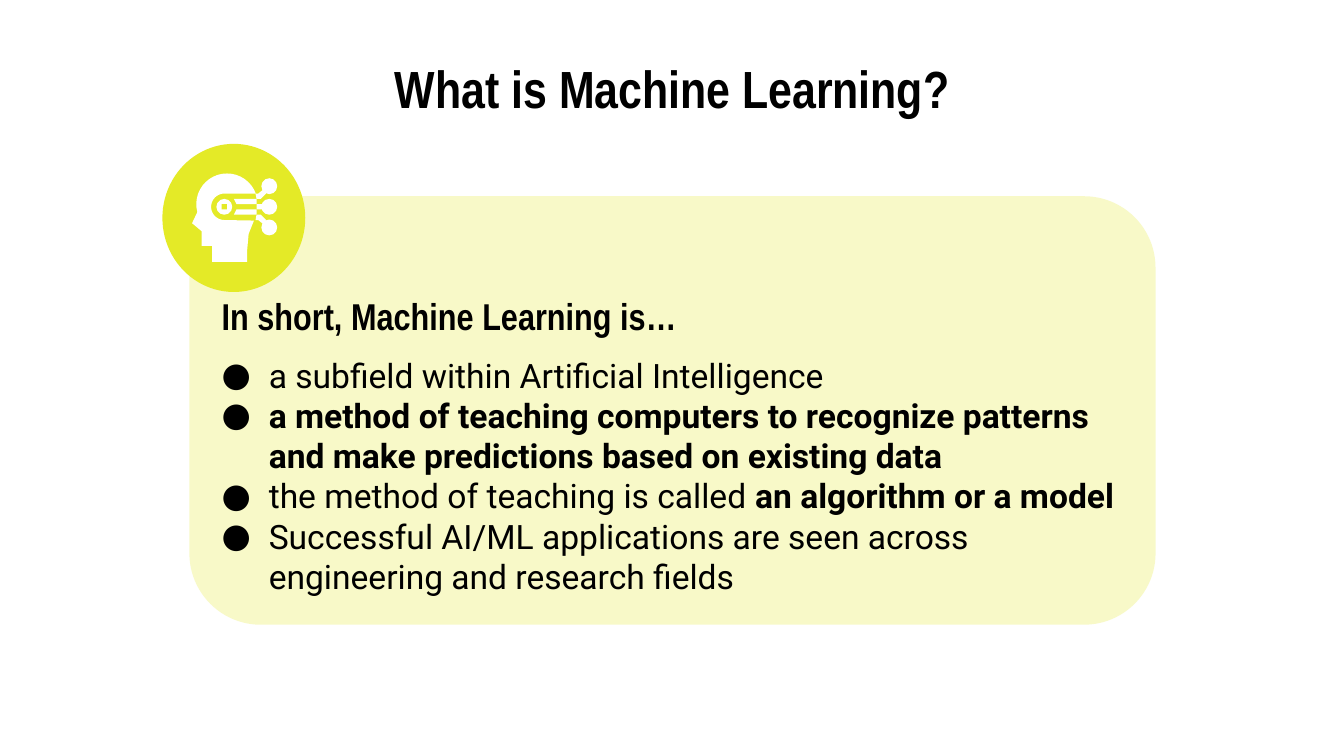
"""Build the slide that explains machine learning in short."""
from dataclasses import dataclass
from math import cos, radians, sin

from lxml.etree import SubElement
from pptx import Presentation
from pptx.dml.color import RGBColor
from pptx.enum.shapes import MSO_SHAPE
from pptx.enum.text import MSO_ANCHOR, MSO_AUTO_SIZE, PP_ALIGN
from pptx.oxml.ns import qn
from pptx.util import Cm, Pt

LIME, WHITE, BLACK = "E4EA27", "FFFFFF", "000000"
MID = 3.91
PAD = Cm(0.25)
FRAME = dict(word_wrap=True, auto_size=MSO_AUTO_SIZE.NONE, margin_left=PAD,
             margin_right=PAD, margin_top=PAD, margin_bottom=PAD)
HEAD = dict(name="Arial Narrow", bold=True)
BULLETS = [
    [("a subfield within Artificial Intelligence", False)],
    [("a method of teaching computers to recognize patterns "
      "and make predictions based on existing data", True)],
    [("the method of teaching is called ", False),
     ("an algorithm or a model", True)],
    [("Successful AI/ML applications are seen across "
      "engineering and research fields", False)],
]


@dataclass
class Box:
    left: float
    top: float
    width: float
    height: float

    def size(self) -> list:
        return [Cm(v) for v in (self.left, self.top, self.width, self.height)]


def style(item, form: dict) -> None:
    for key, value in form.items():
        setattr(item, key, value)


def paint(target, color: str) -> None:
    rgb = RGBColor.from_string(color)
    if hasattr(target, "solid"):
        target.solid()
        target.fore_color.rgb = rgb
    else:
        target.color.rgb = rgb


def finish(shape, color: str):
    shape.shadow.inherit = False
    shape.line.fill.background()
    paint(shape.fill, color)
    return shape


def draw(slide, kind, box: Box, color: str):
    return finish(slide.shapes.add_shape(kind, *box.size()), color)


def disc(slide, x: float, y: float, r: float) -> None:
    draw(slide, MSO_SHAPE.OVAL, Box(x - r, y - r, 2 * r, 2 * r), WHITE)


def trace(slide, points: list) -> None:
    first, *rest = [(Cm(x), Cm(y)) for x, y in points]
    pen = slide.shapes.build_freeform(*first)
    pen.add_line_segments(rest)
    finish(pen.convert_to_shape(), WHITE)


def arc(x: float, y: float, r: float, start: int, stop: int) -> list:
    step = (stop - start) / 20
    turns = [radians(start + step * i) for i in range(21)]
    return [(x + r * cos(t), y - r * sin(t)) for t in turns]


def flip(points: list) -> list:
    return [(x, 2 * MID - y) for x, y in points]


def icon(slide) -> None:
    face = [(3.63, 4.22), (3.81, 4.37), (3.81, 4.65), (4.01, 4.65),
            (4.01, 4.95), (4.67, 4.95), (4.67, 4.75), (4.7, 4.42), (4.8, 4.17)]
    trace(slide, face + arc(4.24, MID, 0.25, 270, 90)
          + arc(4.29, 3.86, 0.58, 20, 195))
    stripe = [(4.42, 3.76), (4.85, 3.76), (4.85, 3.86), (4.47, 3.86)]
    arm = [(4.83, 3.66), (4.88, 3.66), (4.98, 3.58),
           (5.03, 3.66), (4.93, 3.76), (4.85, 3.76)]
    for part in (stripe, arm):
        trace(slide, part)
        trace(slide, flip(part))
    draw(slide, MSO_SHAPE.RECTANGLE, Box(4.85, 3.86, 0.2, 0.1), WHITE)
    for i in (-1, 0, 1):
        disc(slide, 5.09, MID + 0.39 * i, 0.15)
    disc(slide, 4.24, MID, 0.15)
    draw(slide, MSO_SHAPE.RECTANGLE, Box(4.19, MID - 0.05, 0.1, 0.1), LIME)


def place(slide, shape, box: Box, anchor):
    slide.shapes.element.append(shape.element)
    style(shape, dict(zip(("left", "top", "width", "height"), box.size())))
    style(shape.text_frame, FRAME | {"vertical_anchor": anchor})
    return shape.text_frame


def write(para, text: str, form: dict) -> None:
    run = para.add_run()
    run.text = text
    style(run.font, form)
    paint(run.font.fill, BLACK)


def bullet(para) -> None:
    props = para._p.get_or_add_pPr()
    props.set("marL", str(Cm(0.89)))
    props.set("indent", str(Cm(-0.97)))
    tint = SubElement(props, qn("a:buClr"))
    SubElement(tint, qn("a:srgbClr"), val=BLACK)
    SubElement(props, qn("a:buFont"), typeface="Roboto")
    SubElement(props, qn("a:buChar"), char="●")


def main() -> None:
    deck = Presentation()
    style(deck, dict(slide_width=Cm(25.4), slide_height=Cm(14.29)))
    slide = deck.slides.add_slide(deck.slide_layouts[1])
    title, body = slide.placeholders

    card = draw(slide, MSO_SHAPE.ROUNDED_RECTANGLE,
                Box(3.58, 3.71, 18.26, 8.1), LIME)
    shade = card.fill._xPr.find(qn("a:solidFill"))[0]
    SubElement(shade, qn("a:alpha"), val="25000")
    draw(slide, MSO_SHAPE.OVAL, Box(3.07, 2.72, 2.7, 2.8), LIME)

    para = place(slide, title, Box(1.27, 1.14, 22.86, 1.04),
                 MSO_ANCHOR.MIDDLE).paragraphs[0]
    para.alignment = PP_ALIGN.CENTER
    write(para, "What is Machine Learning?", HEAD | {"size": Pt(28)})
    icon(slide)

    frame = place(slide, body, Box(3.94, 6.45, 17.53, 4.8), MSO_ANCHOR.TOP)
    for i, runs in enumerate(BULLETS):
        para = frame.add_paragraph() if i else frame.paragraphs[0]
        para.space_before = Pt(0)
        bullet(para)
        for text, bold in runs:
            write(para, text, dict(name="Roboto", size=Pt(18), bold=bold))

    box = Box(3.94, 5.51, 10.41, 0.91)
    lead = slide.shapes.add_textbox(*box.size())
    para = place(slide, lead, box, MSO_ANCHOR.MIDDLE).paragraphs[0]
    write(para, "In short, Machine Learning is…", HEAD | {"size": Pt(20)})
    deck.save("out.pptx")


if __name__ == "__main__":
    main()
